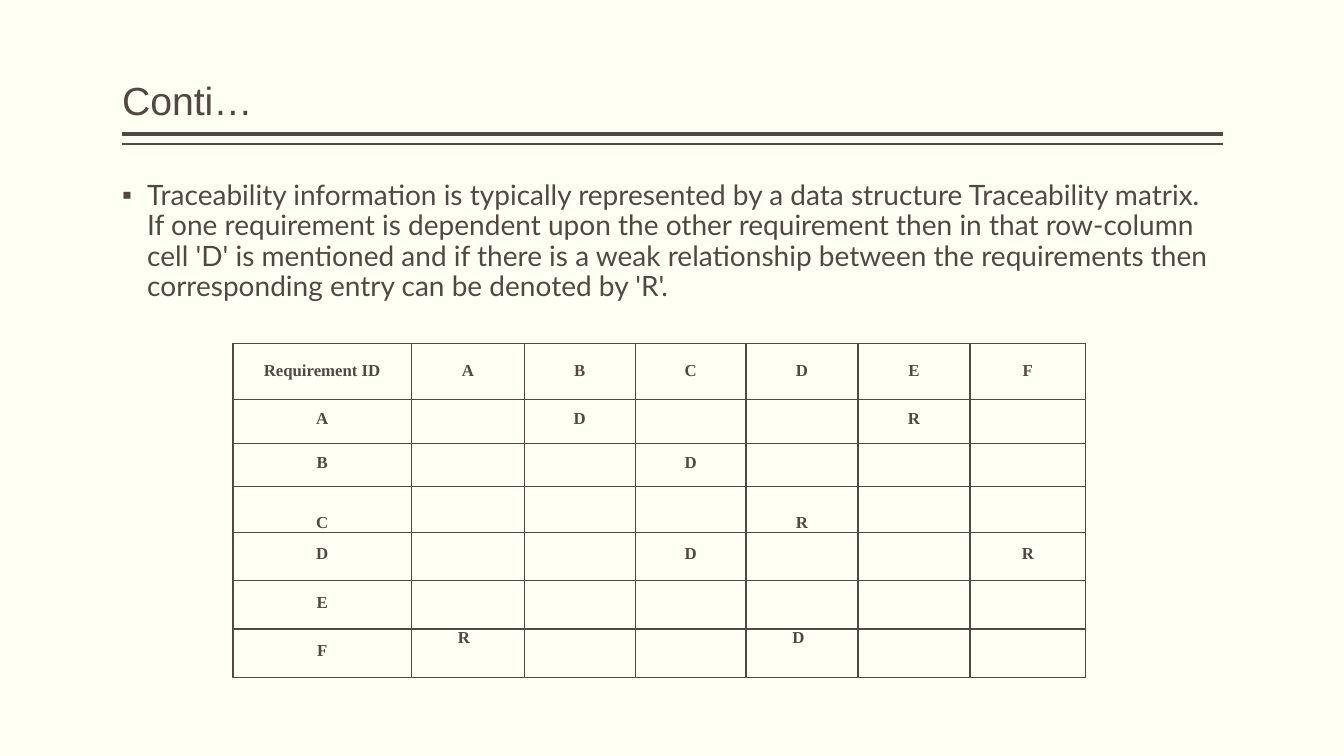
from lxml import etree
from pptx import Presentation
from pptx import util as u
from pptx.dml import color
from pptx.enum import shapes, text
from pptx.oxml import ns

INK, PAPER = "514843", "FFFFF3"
MIDDLE, BOTTOM, TOP = (text.MSO_ANCHOR.MIDDLE, text.MSO_ANCHOR.BOTTOM,
                       text.MSO_ANCHOR.TOP)
CENTER, LEFT = text.PP_ALIGN.CENTER, text.PP_ALIGN.LEFT


def rgb(value):
    """Turn a hex string into a colour."""
    return color.RGBColor.from_string(value)


def apply(target, values):
    """Set each named format value on the target."""
    for name, value in values.items():
        setattr(target, name, value)


def child(parent, tag, **attributes):
    """Append a DrawingML element."""
    return etree.SubElement(parent, ns.qn(tag), attributes)


class Deck:
    """Hold the style and the current slide; lengths are percent of its size."""

    def __init__(self, width, height):
        """Start a deck with one title-only slide."""
        self.prs = Presentation()
        self.prs.slide_width, self.prs.slide_height = u.Inches(width), u.Inches(height)
        self.slide = self.prs.slides.add_slide(self.prs.slide_layouts[5])
        self.slide.background.fill.solid()
        self.slide.background.fill.fore_color.rgb = rgb(PAPER)

    def x(self, share):
        """Convert a share of the width."""
        return round(self.prs.slide_width * share / 100)

    def y(self, share):
        """Convert a share of the height."""
        return round(self.prs.slide_height * share / 100)

    def box(self, left, top, width, height):
        """Convert a box to slide lengths."""
        return self.x(left), self.y(top), self.x(width), self.y(height)

    def set_words(self, frame, words, face, size, bold=False, **layout):
        """Fill a frame with one styled paragraph."""
        paragraph = frame.paragraphs[0]
        apply(paragraph, layout)
        wording = paragraph.add_run()
        wording.text = words
        apply(wording.font, {"name": face, "size": u.Pt(size), "bold": bold})
        wording.font.color.rgb = rgb(INK)
        return paragraph

    def frame(self, holder, anchor):
        """Give a text frame the common insets."""
        apply(holder.text_frame, {
            "word_wrap": True, "auto_size": text.MSO_AUTO_SIZE.NONE,
            "vertical_anchor": anchor, "margin_left": 0, "margin_right": 0,
            "margin_top": u.Inches(0.05), "margin_bottom": u.Inches(0.05)})
        return holder.text_frame

    def title(self, words, *place):
        """Move and fill the title placeholder."""
        heading = self.slide.shapes.title
        apply(heading, dict(zip(("left", "top", "width", "height"), self.box(*place))))
        self.set_words(self.frame(heading, BOTTOM), words, "Arial", 28,
                       alignment=LEFT, line_spacing=0.9)

    def bullet(self, words, *place):
        """Add one bulleted paragraph."""
        body = self.slide.shapes.add_textbox(*self.box(*place))
        point = self.set_words(self.frame(body, TOP), words, "Lato", 20,
                               line_spacing=0.9, space_before=u.Pt(18))
        properties = point._p.get_or_add_pPr()
        indent = u.Inches(0.25)
        properties.set("marL", str(indent))
        properties.set("indent", str(-indent))
        child(properties, "a:buFont", typeface="Arial")
        child(properties, "a:buChar", char="▪")

    def rule(self, left, right, height, weight):
        """Draw a horizontal rule."""
        stroke = self.slide.shapes.add_connector(
            shapes.MSO_CONNECTOR.STRAIGHT,
            self.x(right), self.y(height), self.x(left), self.y(height))
        stroke.line.color.rgb = rgb(INK)
        stroke.line.width = u.Pt(weight)
        child(stroke._element.spPr, "a:effectLst")

    def outline(self, cell):
        """Draw a cell's four borders and clear its fill."""
        properties = cell._tc.get_or_add_tcPr()
        for side in ("L", "R", "T", "B"):
            edge = child(properties, f"a:ln{side}", w=str(u.Pt(1)))
            child(child(edge, "a:solidFill"), "a:srgbClr", val=INK)
        cell.fill.background()

    def matrix(self, left, top, columns, rows, entries, looks):
        """Add a table; looks maps a position to its format."""
        table = self.slide.shapes.add_table(
            len(rows), len(columns),
            *self.box(left, top, sum(columns), sum(rows))).table
        apply(table, {"first_row": False, "horz_banding": False})
        for column, share in zip(table.columns, columns):
            column.width = self.x(share)
        for row, share in zip(table.rows, rows):
            row.height = self.y(share)
        for r, line in enumerate(entries):
            for c, entry in enumerate(line):
                cell = table.cell(r, c)
                anchor, align, spacing, inset = looks(r, c)
                apply(cell, {"margin_left": self.x(inset), "margin_right": self.x(0.08),
                             "margin_top": 0, "margin_bottom": 0,
                             "vertical_anchor": anchor})
                self.outline(cell)
                if entry:
                    self.set_words(cell.text_frame, entry, "Times New Roman", 12, True,
                                   alignment=align, line_spacing=spacing)


def cell_look(row, column):
    """Return anchor, alignment, line spacing and left inset of a cell."""
    if row == 6 and column:
        return TOP, LEFT, 1.0, 3.45
    roomy = row == 0 or (row == 3 and column == 0)
    return BOTTOM if row == 3 else MIDDLE, CENTER, u.Pt(12 if roomy else 10), 0.08


def main():
    """Build the traceability slide."""
    deck = Deck(13.33, 7.5)
    for height, weight in ((17.73, 3), (19.07, 1)):
        deck.rule(9.08, 91, height, weight)
    deck.title("Conti…", 9.08, 1.07, 81.92, 16)
    deck.bullet(
        "Traceability information is typically represented by a data structure "
        "Traceability matrix. If one requirement is dependent upon the other "
        "requirement then in that row-column cell 'D' is mentioned and if there is a "
        "weak relationship between the requirements then corresponding entry can be "
        "denoted by 'R'.", 9.08, 23.33, 81.92, 66.67)

    requirements = "ABCDEF"
    relations = {"AB": "D", "AE": "R", "BC": "D", "CD": "R",
                 "DC": "D", "DF": "R", "FA": "R", "FD": "D"}
    entries = [["Requirement ID", *requirements]]
    entries += [[source, *(relations.get(source + target, "") for target in requirements)]
                for source in requirements]
    deck.matrix(17.33, 45.47, (13.28, 8.4, 8.25, 8.25, 8.33, 8.33, 8.63),
                (7.33, 5.87, 5.73, 6, 6.4, 6.4, 6.4), entries, cell_look)
    deck.prs.save("out.pptx")


if __name__ == "__main__":
    main()
